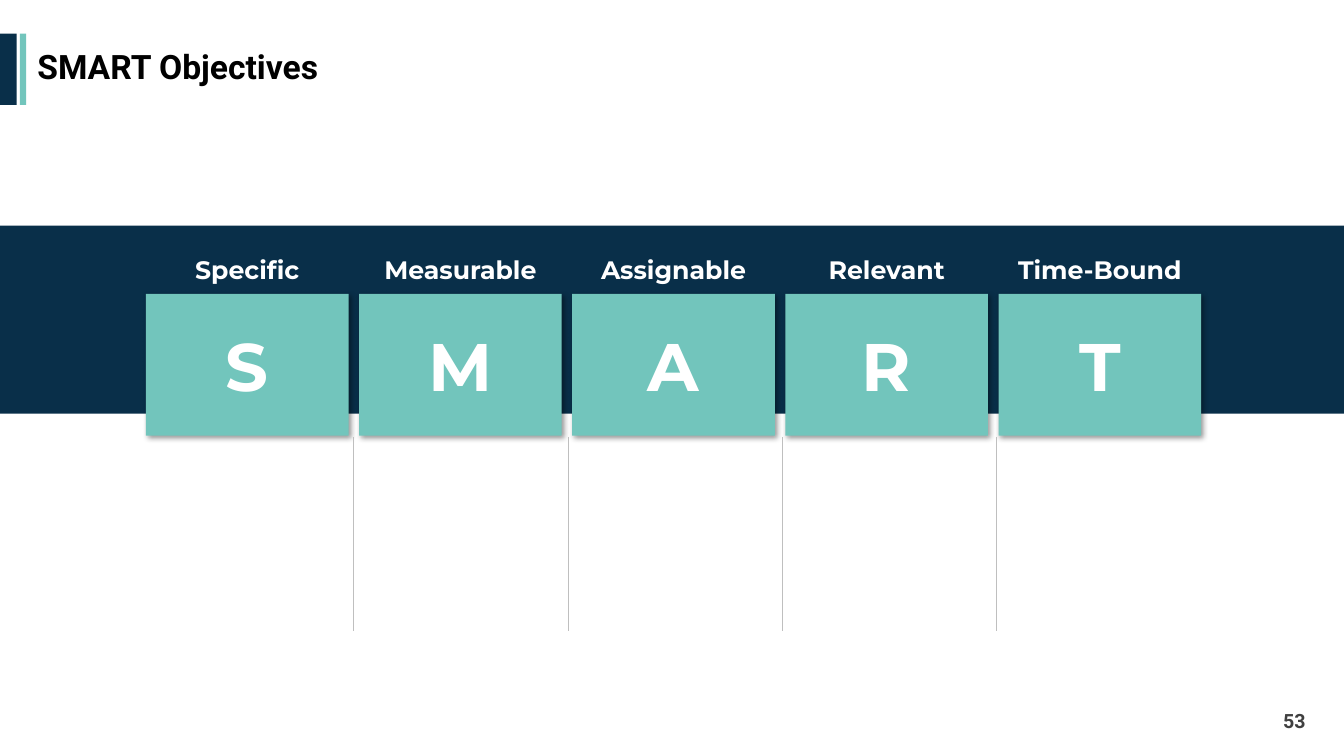
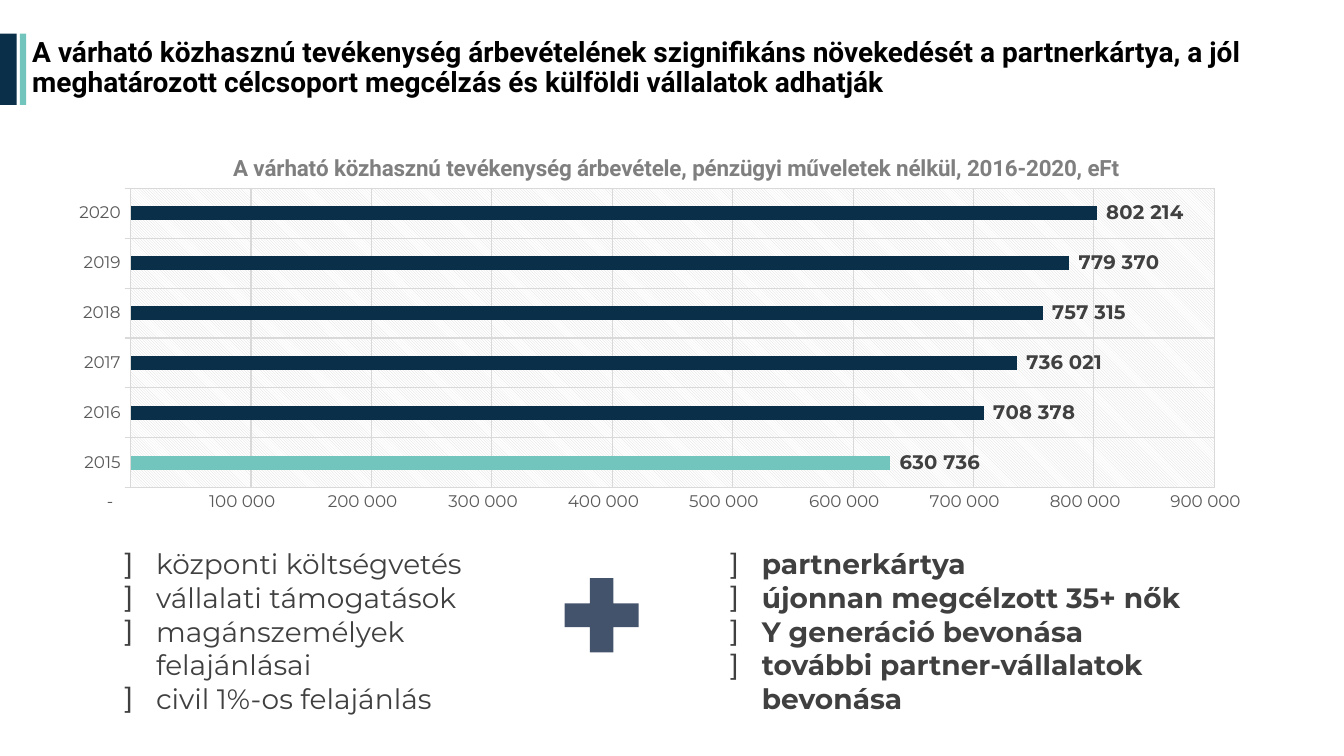
"""Build the SMART objectives and expected revenue slides."""
from pptx import Presentation
from pptx import util as u
from pptx.chart import data as chart_data
from pptx.dml import color
from pptx.enum import chart as ch, shapes, text
from pptx.oxml import parse_xml
from pptx.oxml import ns

NAVY, TEAL, SLATE = "092F49", "72C5BC", "44536C"
WHITE, BLACK, GRID, RULE = "FFFFFF", "000000", "D9D9D9", "BFBFBF"
DARK, MEDIUM, LIGHT = "404040", "595959", "7F7F7F"
HEADING, BODY = "Roboto", "Montserrat"
LEFT, CENTER, RIGHT = text.PP_ALIGN.LEFT, text.PP_ALIGN.CENTER, text.PP_ALIGN.RIGHT

TITLE_ONLY, TWO_CONTENT = 5, 3
TILE_LEFT, TILE_TOP, TILE_WIDTH, TILE_HEIGHT, TILE_PITCH = 139, 280, 193, 135, 203
DIVIDER_LEFT, DIVIDER_PITCH = 337, 204
OBJECTIVES = ["Specific", "Measurable", "Assignable", "Relevant", "Time-Bound"]
REVENUE = {"2015": 630736, "2016": 708378, "2017": 736021,
           "2018": 757315, "2019": 779370, "2020": 802214}
REVENUE_FORMAT = (r'_-* #\ ##0\ _F_t_-;\-* #\ ##0\ _F_t_-;'
                  r'_-* "-"??\ _F_t_-')
CURRENT_SOURCES = ["központi költségvetés", "vállalati támogatások",
                   "magánszemélyek felajánlásai", "civil 1%-os felajánlás"]
NEW_SOURCES = ["partnerkártya", "újonnan megcélzott 35+ nők",
               "Y generáció bevonása", "további partner-vállalatok bevonása"]


def px(length):
    """Turn pixels into EMU."""
    return u.Emu(length * 9525)


def box(*lengths):
    """Turn a left, top, width, height box into EMU."""
    return [px(length) for length in lengths]


def rgb(value):
    """Turn a hex string into a colour."""
    return color.RGBColor.from_string(value)


def style_font(font, size, hue, face=BODY, bold=False):
    """Set the look of a font."""
    font.size, font.name, font.bold = u.Pt(size), face, bold
    font.color.rgb = rgb(hue)


def style_paragraph(paragraph, size, hue, face=BODY, bold=False, align=LEFT):
    """Align a paragraph and format its runs."""
    paragraph.alignment = align
    for run in paragraph.runs:
        style_font(run.font, size, hue, face, bold)


def solid_fill(fill, hue):
    """Give a fill one colour."""
    fill.solid()
    fill.fore_color.rgb = rgb(hue)


def add_block(slide, bounds, hue, kind=shapes.MSO_SHAPE.RECTANGLE):
    """Add a flat shape without outline."""
    block = slide.shapes.add_shape(kind, *box(*bounds))
    block.shadow.inherit = False
    solid_fill(block.fill, hue)
    block.line.fill.background()
    return block


def add_label(slide, bounds, words, size, hue, **look):
    """Add a wrapping line of text."""
    frame = slide.shapes.add_textbox(*box(*bounds)).text_frame
    frame.word_wrap = True
    frame.vertical_anchor = text.MSO_ANCHOR.MIDDLE
    frame.text = words
    style_paragraph(frame.paragraphs[0], size, hue, **look)


def add_slide(deck, layout, heading, left, size):
    """Add a slide with accent bars and a title."""
    slide = deck.slides.add_slide(deck.slide_layouts[layout])
    add_block(slide, (0, 32, 16, 68), NAVY)
    add_block(slide, (19, 32, 6, 68), TEAL)
    title = slide.shapes.title
    title.left, title.top, title.width, title.height = box(left, 31, 1226, 68)
    frame = title.text_frame
    frame.text = heading
    frame.auto_size = text.MSO_AUTO_SIZE.NONE
    frame.vertical_anchor = text.MSO_ANCHOR.MIDDLE
    frame.paragraphs[0].line_spacing = 0.9
    style_paragraph(frame.paragraphs[0], size, BLACK, HEADING, True)
    return slide


def add_tile(slide, left, letter):
    """Add a shadowed tile with a large letter."""
    tile = add_block(slide, (left, TILE_TOP, TILE_WIDTH, TILE_HEIGHT), TEAL)
    effects = tile._element.spPr.find(ns.qn("a:effectLst"))
    effects.append(parse_xml(
        f'<a:outerShdw {ns.nsdecls("a")} blurRad="50800" dist="25400" dir="2700000" '
        'algn="tl" rotWithShape="0"><a:srgbClr val="000000">'
        '<a:alpha val="40000"/></a:srgbClr></a:outerShdw>'))
    frame = tile.text_frame
    frame.text = letter
    frame.vertical_anchor = text.MSO_ANCHOR.MIDDLE
    style_paragraph(frame.paragraphs[0], 48, WHITE, bold=True, align=CENTER)


def add_divider(slide, left):
    """Add a thin vertical rule below the tiles."""
    divider = slide.shapes.add_connector(
        shapes.MSO_CONNECTOR.STRAIGHT, *box(left, 416, left, 601))
    divider.line.color.rgb = rgb(RULE)
    divider.line.width = u.Pt(0.5)
    divider._element.spPr.append(parse_xml(f'<a:effectLst {ns.nsdecls("a")}/>'))


def fill_list(holder, bounds, entries, bold=False):
    """Move a body placeholder and fill it with bracket bullets."""
    holder.left, holder.top, holder.width, holder.height = box(*bounds)
    frame = holder.text_frame
    frame.text = "\n".join(entries)
    frame.word_wrap = True
    frame.auto_size = text.MSO_AUTO_SIZE.NONE
    frame.vertical_anchor = text.MSO_ANCHOR.TOP
    for paragraph in frame.paragraphs:
        properties = paragraph._p.get_or_add_pPr()
        properties.set("marL", str(px(30)))
        properties.set("indent", str(px(-30)))
        properties.append(parse_xml(f'<a:buChar {ns.nsdecls("a")} char="]"/>'))
        paragraph.space_before = u.Pt(0)
        style_paragraph(paragraph, 20, DARK, bold=bold)


def manual_layout(x, y, extent=""):
    """Make a chart layout from edge fractions."""
    return parse_xml(
        f'<c:layout {ns.nsdecls("c")}><c:manualLayout>{extent and "<c:layoutTarget val=%sinner%s/>" % (chr(34), chr(34))}'
        f'<c:xMode val="edge"/><c:yMode val="edge"/><c:x val="{x}"/><c:y val="{y}"/>'
        f'{extent}</c:manualLayout></c:layout>')


def replace_layout(parent, layout, position):
    """Put a layout into a chart part in place of its own."""
    for present in parent.findall(ns.qn("c:layout")):
        parent.remove(present)
    parent.insert(position, layout)


def style_axis(axis, tick):
    """Set the grid, tick marks and labels of an axis."""
    axis.has_major_gridlines = True
    axis.major_gridlines.format.line.color.rgb = rgb(GRID)
    axis.major_gridlines.format.line.width = u.Pt(0.75)
    axis.major_tick_mark = tick
    axis.minor_tick_mark = ch.XL_TICK_MARK.NONE
    style_font(axis.tick_labels.font, 12, MEDIUM)


def style_plot_area(chart):
    """Place the plot area and give it a hatched background."""
    area = chart._chartSpace.chart.plotArea
    replace_layout(area, manual_layout(
        0.06, 0.14, '<c:w val="0.88"/><c:h val="0.78"/>'), 0)
    area.append(parse_xml(
        f'<c:spPr {ns.nsdecls("c", "a")}><a:pattFill prst="ltDnDiag">'
        f'<a:fgClr><a:srgbClr val="{GRID}"/></a:fgClr>'
        f'<a:bgClr><a:srgbClr val="{WHITE}"/></a:bgClr></a:pattFill></c:spPr>'))


def add_revenue_chart(slide):
    """Add the bar chart of revenue by year."""
    revenue = chart_data.CategoryChartData(number_format=REVENUE_FORMAT)
    revenue.categories = list(REVENUE)
    revenue.add_series("Series 1", list(REVENUE.values()))
    chart = slide.shapes.add_chart(
        ch.XL_CHART_TYPE.BAR_CLUSTERED, *box(54, 128, 1173, 366), revenue).chart
    style_font(chart.font, 10, BLACK)
    chart.has_legend = False
    chart.has_title = True
    heading = chart.chart_title.text_frame
    heading.text = ("A várható közhasznú tevékenység árbevétele, "
                    "pénzügyi műveletek nélkül, 2016-2020, eFt")
    style_paragraph(heading.paragraphs[0], 16, LIGHT, HEADING, True, CENTER)
    replace_layout(chart.chart_title._element, manual_layout(0.14, 0.04), 1)

    years, amounts = chart.category_axis, chart.value_axis
    style_axis(years, ch.XL_TICK_MARK.OUTSIDE)
    years.format.line.color.rgb = rgb(GRID)
    years.format.line.width = u.Pt(0.75)
    style_axis(amounts, ch.XL_TICK_MARK.NONE)
    amounts.format.line.fill.background()
    amounts.minimum_scale, amounts.maximum_scale = 0, 900000
    amounts.major_unit = 100000
    amounts.tick_labels.number_format = REVENUE_FORMAT
    amounts.tick_labels.number_format_is_linked = False

    plot = chart.plots[0]
    plot.gap_width = 248
    plot.vary_by_categories = False
    bars = plot.series[0]
    solid_fill(bars.format.fill, NAVY)
    solid_fill(bars.points[0].format.fill, TEAL)
    labels = bars.data_labels
    labels.show_value = True
    labels.position = ch.XL_LABEL_POSITION.OUTSIDE_END
    labels.number_format = REVENUE_FORMAT
    labels.number_format_is_linked = False
    style_font(labels.font, 14, DARK, bold=True)
    style_plot_area(chart)


def build_objectives(deck):
    """Build the slide of the five objectives."""
    slide = add_slide(deck, TITLE_ONLY, "SMART Objectives", 26, 24)
    add_block(slide, (0, 215, 1280, 179), NAVY)
    for index, objective in enumerate(OBJECTIVES):
        left = TILE_LEFT + index * TILE_PITCH
        add_tile(slide, left, objective[0])
        add_label(slide, (left, 238, TILE_WIDTH, 38), objective, 18, WHITE,
                  bold=True, align=CENTER)
    for index in range(len(OBJECTIVES) - 1):
        add_divider(slide, DIVIDER_LEFT + index * DIVIDER_PITCH)
    add_label(slide, (965, 667, 288, 38), "53", 14, DARK,
              face=HEADING, bold=True, align=RIGHT)


def build_revenue(deck):
    """Build the slide of expected revenue and its sources."""
    slide = add_slide(
        deck, TWO_CONTENT,
        "A várható közhasznú tevékenység árbevételének szignifikáns növekedését "
        "a partnerkártya, a jól meghatározott célcsoport megcélzás és külföldi "
        "vállalatok adhatják", 21, 20)
    add_revenue_chart(slide)
    current, new = list(slide.placeholders)[1:]
    fill_list(current, (109, 516, 373, 139), CURRENT_SOURCES)
    add_block(slide, (525, 538, 96, 96), SLATE, shapes.MSO_SHAPE.MATH_PLUS)
    fill_list(new, (686, 516, 456, 139), NEW_SOURCES, bold=True)


def main():
    """Build and save the deck."""
    deck = Presentation()
    deck.slide_width, deck.slide_height = box(1280, 720)
    build_objectives(deck)
    build_revenue(deck)
    deck.save("out.pptx")


if __name__ == "__main__":
    main()
